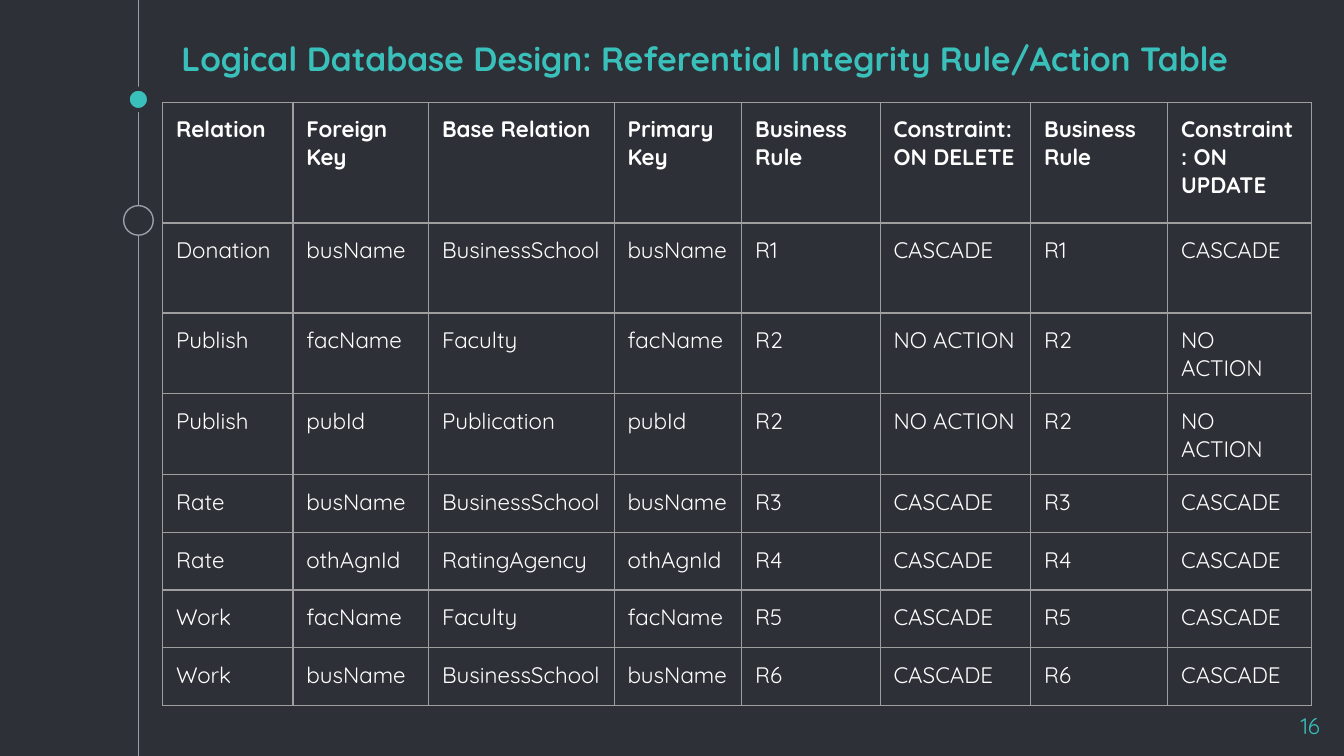
from lxml import etree
from pptx import Presentation
from pptx.dml.color import RGBColor
from pptx.enum import shapes, text
from pptx.oxml import ns
from pptx.util import Inches, Pt

FONT = "Quicksand"
DARK, TEAL, GREY, BORDER, WHITE = "2E3037", "39C0BA", "999FA9", "9E9E9E", "FFFFFF"
SLIDE_WIDTH = 10
SLIDE_HEIGHT = SLIDE_WIDTH * 9 / 16

COLUMNS = [("Relation", 0.97), ("Foreign Key", 1.01), ("Base Relation", 1.38),
           ("Primary Key", 0.95), ("Business Rule", 1.03),
           ("Constraint: ON DELETE", 1.12), ("Business Rule", 1.02),
           ("Constraint: ON UPDATE", 1.07)]
ROW_HEIGHTS = [0.9, 0.67] + [0.43] * 6
# Relation, key (foreign and primary), base relation, rule, action
REFERENCES = [
    ("Donation", "busName", "BusinessSchool", "R1", "CASCADE"),
    ("Publish", "facName", "Faculty", "R2", "NO ACTION"),
    ("Publish", "pubId", "Publication", "R2", "NO ACTION"),
    ("Rate", "busName", "BusinessSchool", "R3", "CASCADE"),
    ("Rate", "othAgnId", "RatingAgency", "R4", "CASCADE"),
    ("Work", "facName", "Faculty", "R5", "CASCADE"),
    ("Work", "busName", "BusinessSchool", "R6", "CASCADE"),
]


def rgb(color):
    return RGBColor.from_string(color)


def write(tf, content, size, color, bold=False, align=text.PP_ALIGN.LEFT):
    tf.margin_left = tf.margin_right = tf.margin_top = tf.margin_bottom = Inches(0.1)
    tf.word_wrap = True
    p = tf.paragraphs[0]
    p.text, p.alignment = content, align
    p.font.name, p.font.size, p.font.bold = FONT, Pt(size), bold
    p.font.color.rgb = rgb(color)


def add_timeline(slide, x, top, height):
    # Vertical line
    line = slide.shapes.add_connector(shapes.MSO_CONNECTOR.STRAIGHT, Inches(x),
                                      Inches(top), Inches(x), Inches(top + height))
    line.line.color.rgb, line.line.width = rgb(GREY), Pt(0.75)
    etree.SubElement(line._element.spPr, ns.qn("a:effectLst"))
    # Markers centred on the line
    for center, size, fill, outline, width in [(0.74, 0.16, TEAL, DARK, 2.25),
                                               (1.64, 0.22, DARK, GREY, 0.75)]:
        sp = slide.shapes.add_shape(shapes.MSO_SHAPE.OVAL, Inches(x - size / 2),
                                    Inches(top + center - size / 2),
                                    Inches(size), Inches(size))
        sp.shadow.inherit = False
        sp.fill.solid()
        sp.fill.fore_color.rgb = rgb(fill)
        sp.line.color.rgb, sp.line.width = rgb(outline), Pt(width)


def add_title(slide, left, top, width, height, content):
    sp = slide.shapes.title
    sp.left, sp.top, sp.width, sp.height = map(Inches, (left, top, width, height))
    tf = sp.text_frame
    tf.auto_size = text.MSO_AUTO_SIZE.NONE
    tf.vertical_anchor = text.MSO_ANCHOR.BOTTOM
    write(tf, content, 18, TEAL, bold=True)


def add_page_number(slide, left, top, width, height, number):
    sp = slide.shapes.add_textbox(*map(Inches, (left, top, width, height)))
    write(sp.text_frame, number, 12, TEAL, align=text.PP_ALIGN.RIGHT)


def format_cell(cell, content, bold):
    cell.margin_left = cell.margin_right = Inches(0.1)
    cell.margin_top = cell.margin_bottom = Inches(0.1)
    p = cell.text_frame.paragraphs[0]
    p.text = content
    p.font.name, p.font.size, p.font.bold = FONT, Pt(12), bold
    p.font.color.rgb = rgb(WHITE)
    # Borders come before the fill in the cell properties
    tc_pr = cell._tc.get_or_add_tcPr()
    for side in ("lnL", "lnR", "lnT", "lnB"):
        ln = etree.SubElement(tc_pr, ns.qn("a:" + side), w=str(Pt(0.75)))
        fill = etree.SubElement(ln, ns.qn("a:solidFill"))
        etree.SubElement(fill, ns.qn("a:srgbClr"), val=BORDER)
    cell.fill.background()


def add_rule_table(slide, left, top, width, height):
    rows = [[name for name, _ in COLUMNS]]
    rows += [[relation, key, base, key] + [rule, action] * 2
             for relation, key, base, rule, action in REFERENCES]
    frame = slide.shapes.add_table(len(rows), len(COLUMNS),
                                   *map(Inches, (left, top, width, height)))
    table = frame.table
    table.horz_banding = table.first_row = False
    for column, (_, column_width) in zip(table.columns, COLUMNS):
        column.width = Inches(column_width)
    for i, (row, row_height) in enumerate(zip(table.rows, ROW_HEIGHTS)):
        row.height = Inches(row_height)
        for cell, content in zip(row.cells, rows[i]):
            format_cell(cell, content, bold=i == 0)
    # Sizing rows and columns resizes the frame, so set it last
    frame.width, frame.height = Inches(width), Inches(height)


def main():
    prs = Presentation()
    prs.slide_width, prs.slide_height = Inches(SLIDE_WIDTH), Inches(SLIDE_HEIGHT)
    slide = prs.slides.add_slide(prs.slide_layouts[5])
    slide.background.fill.solid()
    slide.background.fill.fore_color.rgb = rgb(DARK)

    add_timeline(slide, 1.03, 0, SLIDE_HEIGHT)
    add_title(slide, 1.25, 0.3, 8.53, 0.38,
              "Logical Database Design: Referential Integrity Rule/Action Table")
    add_page_number(slide, 9.32, 5.2, 0.6, 0.34, "16")
    add_rule_table(slide, 1.21, 0.76, 3.28, 3.28)
    prs.save("out.pptx")


if __name__ == "__main__":
    main()
